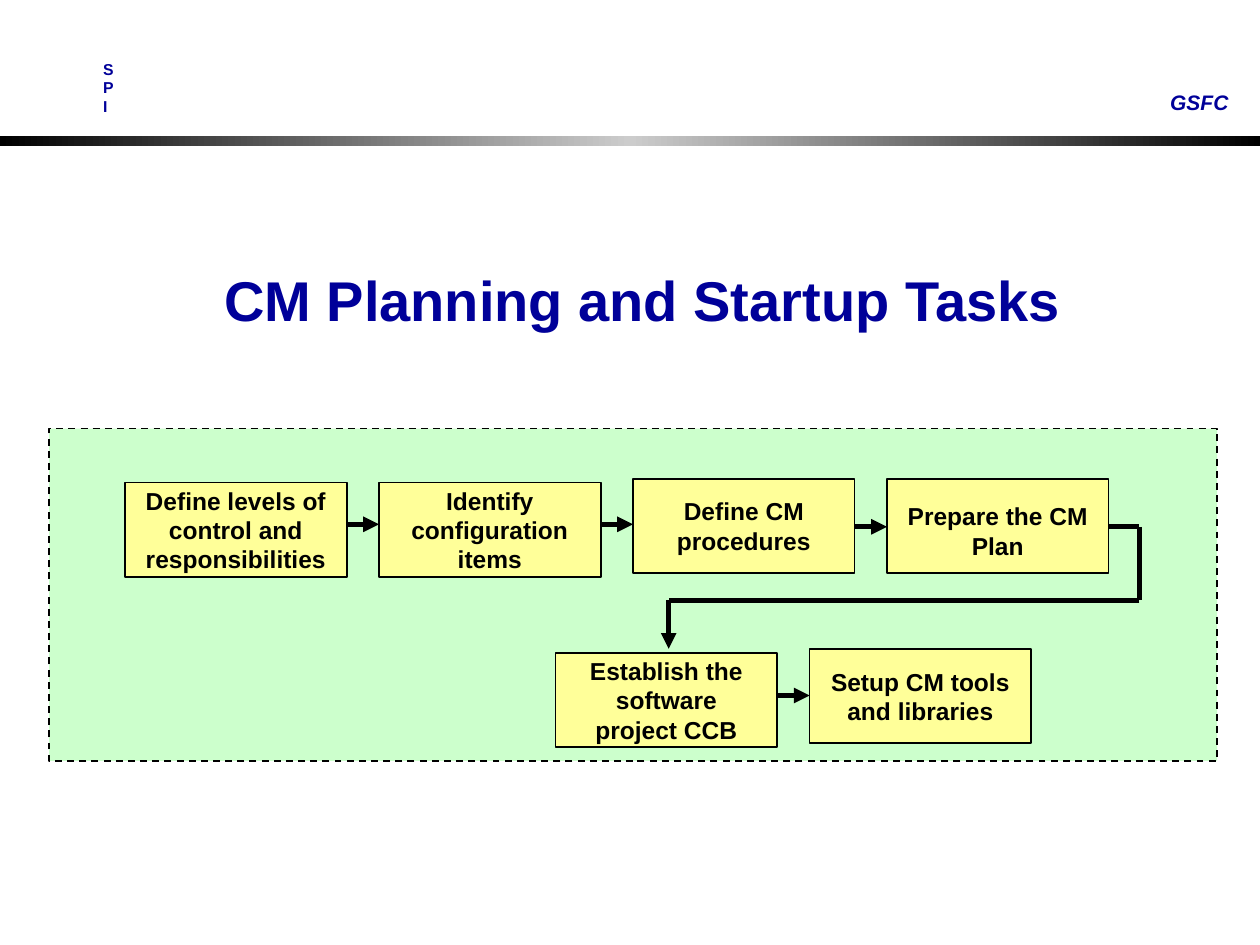
import copy

import pptx
import pptx.dml.color
import pptx.enum.dml
import pptx.enum.shapes
import pptx.enum.text
import pptx.oxml
import pptx.oxml.ns
import pptx.util

Cm = pptx.util.Cm
Pt = pptx.util.Pt
RGB = pptx.dml.color.RGBColor.from_string
ALIGN = pptx.enum.text.PP_ALIGN
ANCHOR = pptx.enum.text.MSO_ANCHOR

TITLE = "CM Planning and Startup Tasks"
ROWS = [
    {"left": 2.52, "top": 9.73, "arrow_y": 10.57, "tasks": [
        ("Define levels of control and responsibilities", 0, 0),
        ("Identify configuration items", 0, 0),
        ("Define CM procedures", 0.08, 0),
        ("Prepare the CM Plan", 0.08, 0.2),
    ]},
    {"left": 11.2, "top": 13.16, "arrow_y": 14.02, "tasks": [
        ("Establish the software project CCB", 0, 0),
        ("Setup CM tools and libraries", 0.08, 0),
    ]},
]
RETURN_PATH = [(22.35, 10.62), (22.97, 10.62), (22.97, 12.1), (13.48, 12.1), (13.48, 13.08)]
BOX_WIDTH, BOX_HEIGHT, BOX_PITCH = 4.47, 1.9, 5.12

THEME = {
    "font": "Arial", "navy": "000099", "ink": "000000", "silver": "CCCCCC",
    "panel": "CCFFCC", "task": "FFFF99",
    "title_size": 32, "task_size": 14, "agency_size": 12, "mark_size": 9,
    "border": 1, "arrow": 3,
}


def write(frame, text, size, color, align, italic=False):
    para = frame.paragraphs[0]
    para.alignment = align
    span = para.add_run()
    span.text = text
    span.font.name = THEME["font"]
    span.font.size = Pt(THEME[size])
    span.font.color.rgb = RGB(THEME[color])
    span.font.bold = True
    span.font.italic = italic


def add_label(page, place, text, size, align, wrap, italic=False):
    label = page.shapes.add_textbox(*map(Cm, place))
    label.text_frame.word_wrap = wrap
    write(label.text_frame, text, size, "navy", align, italic)


def add_rectangle(page, place, fill):
    box = page.shapes.add_shape(pptx.enum.shapes.MSO_SHAPE.RECTANGLE, *map(Cm, place))
    box.shadow.inherit = False
    box.fill.solid()
    box.fill.fore_color.rgb = RGB(THEME[fill])
    box.line.color.rgb = RGB(THEME["ink"])
    box.line.width = Pt(THEME["border"])
    return box


def add_band(page):
    band = add_rectangle(page, (0, 2.75, 25.4, 0.2), "ink")
    band.line.fill.background()
    band.fill.gradient()
    band.fill.gradient_angle = 0
    stops = band.fill.gradient_stops
    for stop, color, position in zip(stops, ("ink", "silver"), (0, 0.5)):
        stop.color.rgb = RGB(THEME[color])
        stop.position = position
    stop_list = band.fill._fill._gradFill.gsLst
    last = copy.deepcopy(stop_list[0])
    last.set("pos", "100000")
    stop_list.append(last)


def add_task(page, place, text, drop):
    box = add_rectangle(page, place, "task")
    frame = box.text_frame
    frame.word_wrap = True
    frame.vertical_anchor = ANCHOR.MIDDLE
    frame.margin_left = frame.margin_right = Cm(0.33)
    frame.margin_top, frame.margin_bottom = Cm(drop), Cm(0)
    write(frame, text, "task_size", "ink", ALIGN.CENTER)


def add_line(page, start, end, arrow):
    line = page.shapes.add_connector(
        pptx.enum.shapes.MSO_CONNECTOR.STRAIGHT, *map(Cm, start + end))
    line.line.color.rgb = RGB(THEME["ink"])
    line.line.width = Pt(THEME["arrow"])
    if arrow:
        head = pptx.oxml.parse_xml(
            f'<a:tailEnd {pptx.oxml.ns.nsdecls("a")} type="triangle"/>')
        line.line._get_or_add_ln().append(head)
    line._element.spPr.append(
        pptx.oxml.parse_xml(f'<a:effectLst {pptx.oxml.ns.nsdecls("a")}/>'))


def add_row(page, row):
    for index, (text, rise, drop) in enumerate(row["tasks"]):
        left = row["left"] + index * BOX_PITCH
        place = (left, row["top"] - rise, BOX_WIDTH, BOX_HEIGHT)
        add_task(page, place, text, drop)
        if index:
            y = row["arrow_y"] + (0.05 if index == 3 else 0)
            add_line(page, (left - BOX_PITCH + BOX_WIDTH, y), (left, y), True)


def main():
    deck = pptx.Presentation()
    deck.slide_width, deck.slide_height = Cm(25.4), Cm(19.05)
    page = deck.slides.add_slide(deck.slide_layouts[5])

    title = page.shapes.title
    title.left, title.top, title.width, title.height = map(Cm, (2.16, 4.45, 21.59, 3.18))
    title.text_frame.vertical_anchor = ANCHOR.MIDDLE
    write(title.text_frame, TITLE, "title_size", "navy", ALIGN.CENTER)

    add_band(page)
    add_label(page, (23.34, 1.68, 1.68, 0.76), "GSFC", "agency_size", ALIGN.LEFT, False, True)
    add_label(page, (1.83, 1.07, 0.58, 1.4), "SPI", "mark_size", ALIGN.CENTER, True)

    panel = add_rectangle(page, (0.99, 8.64, 23.55, 6.7), "panel")
    panel.line.dash_style = pptx.enum.dml.MSO_LINE.DASH
    for row in ROWS:
        add_row(page, row)
    legs = list(zip(RETURN_PATH, RETURN_PATH[1:]))
    for leg in legs:
        add_line(page, *leg, leg == legs[-1])

    deck.save("out.pptx")


if __name__ == "__main__":
    main()
